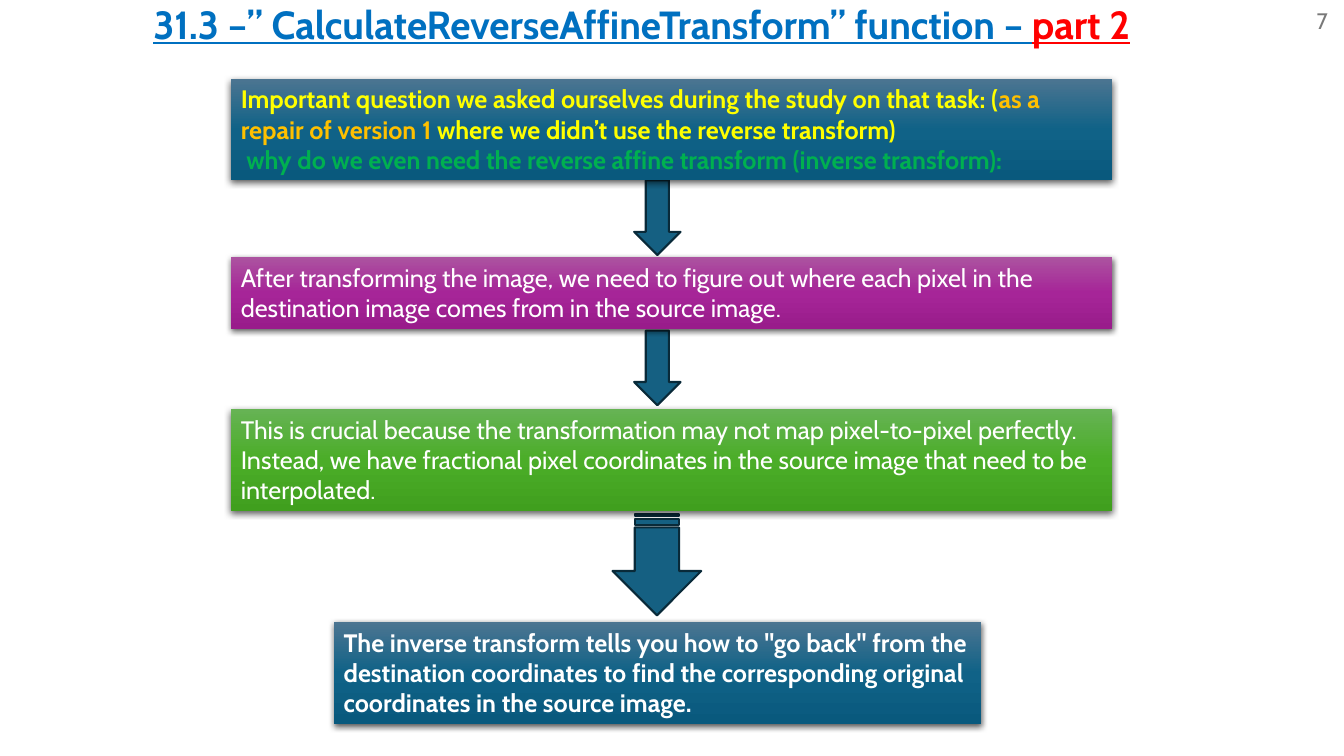
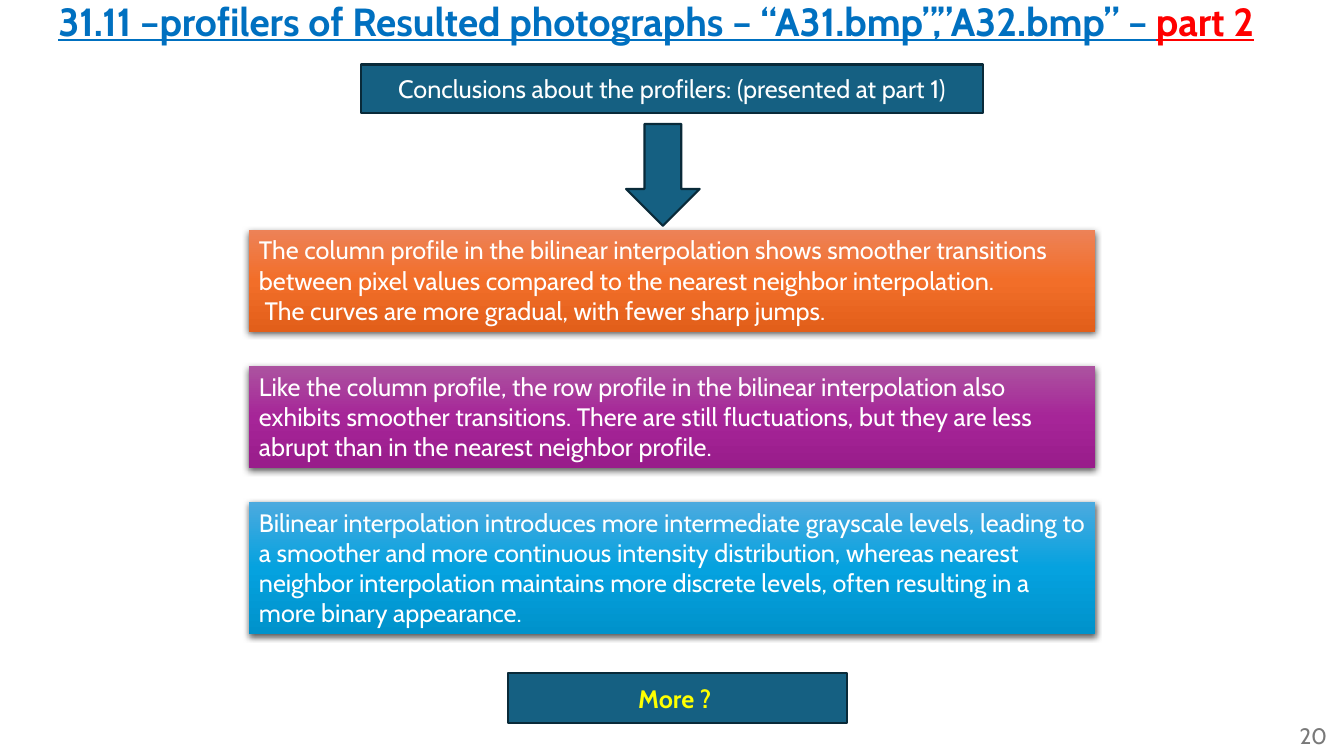
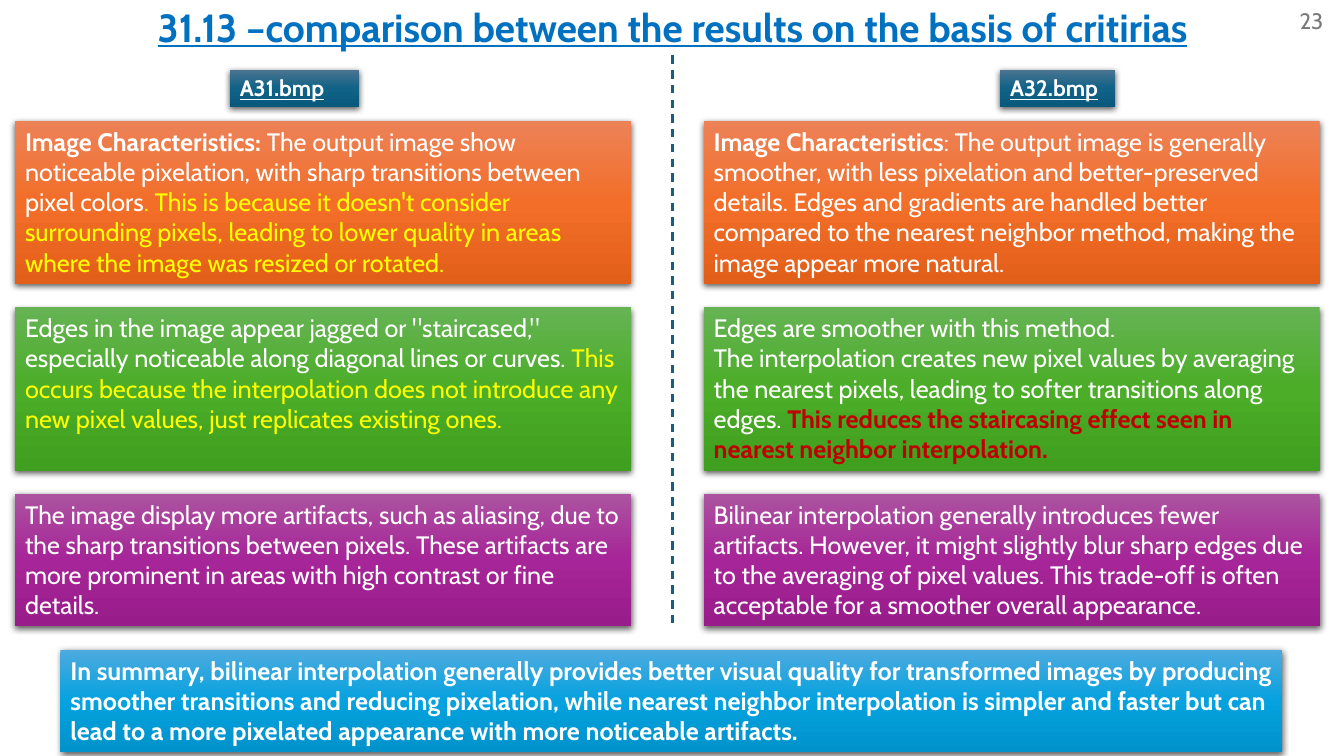
"""Build three slides on reverse affine transforms and interpolation results."""
from copy import deepcopy

from lxml.etree import SubElement
from pptx import Presentation
from pptx.dml.color import RGBColor
from pptx.enum.dml import MSO_LINE
from pptx.enum.shapes import MSO_CONNECTOR, MSO_SHAPE
from pptx.enum.text import MSO_ANCHOR as ANCHOR, PP_ALIGN as ALIGN
from pptx.oxml.ns import qn
from pptx.util import Inches, Pt

FONT = "Cabin"
WHITE = RGBColor(0xFF, 0xFF, 0xFF)
YELLOW = RGBColor(0xFF, 0xFF, 0x00)
AMBER = RGBColor(0xFF, 0xC0, 0x00)
LEAF = RGBColor(0x00, 0xB0, 0x50)
RED = RGBColor(0xFF, 0x00, 0x00)
DARK_RED = RGBColor(0xC0, 0x00, 0x00)
TITLE_BLUE = RGBColor(0x00, 0x70, 0xC0)
GRAY = RGBColor(0x79, 0x79, 0x79)
NAVY = RGBColor(0x15, 0x60, 0x82)
NAVY_EDGE = RGBColor(0x09, 0x2A, 0x39)

TEAL = [RGBColor(0x4C, 0x75, 0x91), RGBColor(0x10, 0x62, 0x87), RGBColor(0x09, 0x59, 0x7D)]
GREEN = [RGBColor(0x66, 0xB3, 0x54), RGBColor(0x4B, 0xAD, 0x28), RGBColor(0x40, 0x9F, 0x1E)]
PURPLE = [RGBColor(0xAC, 0x53, 0xA0), RGBColor(0xA6, 0x25, 0x98), RGBColor(0x99, 0x1C, 0x8B)]
ORANGE = [RGBColor(0xED, 0x82, 0x57), RGBColor(0xF2, 0x6E, 0x29), RGBColor(0xE2, 0x5F, 0x1A)]
SKY = [RGBColor(0x4C, 0xAA, 0xDF), RGBColor(0x05, 0xA2, 0xDF), RGBColor(0x00, 0x92, 0xCB)]


def write(shape, paragraphs, size=18, color=WHITE, bold=False, underline=False,
          align=ALIGN.LEFT, anchor=ANCHOR.TOP):
    """Fill a shape with paragraphs, each a list of plain texts or (text, color, bold)."""
    frame = shape.text_frame
    frame.word_wrap = True
    frame.vertical_anchor = anchor
    for index, parts in enumerate(paragraphs):
        paragraph = frame.add_paragraph() if index else frame.paragraphs[0]
        paragraph.alignment = align
        font = paragraph.font
        font.name, font.size, font.bold, font.underline = FONT, Pt(size), bold, underline
        font.color.rgb = color
        for part in parts:
            run = paragraph.add_run()
            if isinstance(part, str):
                run.text = part
            else:
                run.text, run.font.color.rgb, run.font.bold = part


def add_panel(slide, at, gradient, paragraphs, **style):
    """Add a shadowed rectangle with a three-stop vertical gradient and text."""
    panel = slide.shapes.add_shape(MSO_SHAPE.RECTANGLE, *map(Inches, at))
    panel.line.fill.background()
    panel.fill.gradient()
    panel.fill.gradient_angle = 270
    properties = panel._element.spPr
    stops = properties.find(".//" + qn("a:gsLst"))
    stops.append(deepcopy(stops[0]))
    for stop, position, color in zip(panel.fill.gradient_stops, (0, 0.5, 1), gradient):
        stop.position = position
        stop.color.rgb = color
    panel.shadow.inherit = False
    shadow = SubElement(properties.find(qn("a:effectLst")), qn("a:outerShdw"),
                        blurRad=str(Pt(4.5)), dist=str(Pt(1.5)), dir="5400000",
                        algn="ctr", rotWithShape="0")
    black = SubElement(shadow, qn("a:srgbClr"), val="000000")
    SubElement(black, qn("a:alpha"), val="63000")
    write(panel, paragraphs, **style)


presentation = Presentation()
presentation.slide_width = Inches(13.33)
presentation.slide_height = Inches(7.5)

headings = [
    ((0.23, -0.05, 12.27, 0.57),
     ["31.3 –” CalculateReverseAffineTransform” function – ", ("part 2", RED, True)],
     (12.96, 0, 0.34, 0.4), "7"),
    ((0.03, -0.08, 12.96, 0.57),
     ["31.11 –profilers of Resulted photographs – “A31.bmp”,”A32.bmp” – ", ("part 2", RED, True)],
     (12.79, 7.1, 0.55, 0.4), "20"),
    ((0.81, -0.02, 11.72, 0.57),
     ["31.13 –comparison between the results on the basis of critirias"],
     (12.79, 0, 0.55, 0.4), "23"),
]
slides = []
for title_at, title, number_at, number in headings:
    slide = presentation.slides.add_slide(presentation.slide_layouts[6])
    slides.append(slide)
    write(slide.shapes.add_textbox(*map(Inches, title_at)), [title], size=28,
          color=TITLE_BLUE, bold=True, underline=True, align=ALIGN.CENTER)
    write(slide.shapes.add_textbox(*map(Inches, number_at)), [[number]], size=16,
          color=GRAY, anchor=ANCHOR.MIDDLE)
reverse_slide, profile_slide, comparison_slide = slides

navy_shapes = [
    (reverse_slide, MSO_SHAPE.DOWN_ARROW, (6.29, 1.79, 0.46, 0.74), 0, "", WHITE, False),
    (reverse_slide, MSO_SHAPE.DOWN_ARROW, (6.29, 3.28, 0.46, 0.74), 0, "", WHITE, False),
    (reverse_slide, MSO_SHAPE.STRIPED_RIGHT_ARROW, (6.01, 5.16, 1.01, 0.88), 90, "", WHITE, False),
    (profile_slide, MSO_SHAPE.RECTANGLE, (3.58, 0.64, 6.17, 0.48), 0,
     "Conclusions about the profilers: (presented at part 1)", WHITE, False),
    (profile_slide, MSO_SHAPE.DOWN_ARROW, (6.21, 1.23, 0.73, 1.01), 0, "", WHITE, False),
    (profile_slide, MSO_SHAPE.RECTANGLE, (5.04, 6.68, 3.36, 0.49), 0, "More ? ", YELLOW, True),
]
for slide, kind, at, rotation, text, color, bold in navy_shapes:
    shape = slide.shapes.add_shape(kind, *map(Inches, at))
    shape.shadow.inherit = False
    shape.rotation = rotation
    shape.fill.solid()
    shape.fill.fore_color.rgb = NAVY
    shape.line.color.rgb = NAVY_EDGE
    shape.line.width = Pt(1.5)
    if text:
        write(shape, [[text]], color=color, bold=bold, align=ALIGN.CENTER, anchor=ANCHOR.MIDDLE)

add_panel(reverse_slide, (2.29, 0.78, 8.74, 1.01), TEAL, [
    ["Important question we asked ourselves during the study on that task: (",
     ("as a repair of version 1", AMBER, True),
     " where we didn’t use the reverse transform)"],
    [(" why do we even need the reverse affine transform (inverse transform):", LEAF, True)],
], color=YELLOW, bold=True)
add_panel(reverse_slide, (2.29, 2.55, 8.74, 0.71), PURPLE, [[
    "After transforming the image, we need to figure out where each pixel in the "
    "destination image comes from in the source image."]])
add_panel(reverse_slide, (2.29, 4.06, 8.74, 1.01), GREEN, [[
    "This is crucial because the transformation may not map pixel-to-pixel perfectly. "
    "Instead, we have fractional pixel coordinates in the source image that need to be "
    "interpolated."]])
add_panel(reverse_slide, (3.31, 6.17, 6.42, 1.01), TEAL, [[
    "The inverse transform tells you how to \"go back\" from the destination coordinates "
    "to find the corresponding original coordinates in the source image."]], bold=True)

conclusions = [
    (1.01, ORANGE, [
        ["The column profile in the bilinear interpolation shows smoother transitions "
         "between pixel values compared to the nearest neighbor interpolation."],
        [" The curves are more gradual, with fewer sharp jumps."]]),
    (1.01, PURPLE, [
        ["Like the column profile, the row profile in the bilinear interpolation also "
         "exhibits smoother transitions. There are still fluctuations, but they are less "
         "abrupt than in the nearest neighbor profile."]]),
    (1.31, SKY, [
        ["Bilinear interpolation introduces more intermediate grayscale levels, leading to "
         "a smoother and more continuous intensity distribution, whereas nearest neighbor "
         "interpolation maintains more discrete levels, often resulting in a more binary "
         "appearance."]]),
]
top = 2.28
for height, gradient, paragraphs in conclusions:
    add_panel(profile_slide, (2.47, top, 8.39, height), gradient, paragraphs)
    top += height + 0.34

columns = [
    (0.15, "A31.bmp", (2.28, 0.69, 1.28, 0.37), [
        [[("Image Characteristics: ", WHITE, True),
          "The output image show noticeable pixelation, with sharp transitions between "
          "pixel colors",
          (". This is because it doesn't consider surrounding pixels, leading to lower "
           "quality in areas where the image was resized or rotated.", YELLOW, False)]],
        [["Edges in the image appear jagged or \"staircased,\" especially noticeable along "
          "diagonal lines or curves. ",
          ("This occurs because the interpolation does not introduce any new pixel values, "
           "just replicates existing ones.", YELLOW, False)]],
        [["The image display more artifacts, such as aliasing, due to the sharp transitions "
          "between pixels. These artifacts are more prominent in areas with high contrast "
          "or fine details."]],
    ]),
    (6.98, "A32.bmp", (9.92, 0.69, 1.14, 0.37), [
        [[("Image Characteristics", WHITE, True),
          ": The output image is generally smoother, with less pixelation and "
          "better-preserved details. Edges and gradients are handled better compared to the "
          "nearest neighbor method, making the image appear more natural."]],
        [["Edges are smoother with this method."],
         ["The interpolation creates new pixel values by averaging the nearest pixels, "
          "leading to softer transitions along edges. ",
          ("This reduces the staircasing effect seen in nearest neighbor interpolation.",
           DARK_RED, True)]],
        [["Bilinear interpolation generally introduces fewer artifacts. However, it might "
          "slightly blur sharp edges due to the averaging of pixel values. This trade-off "
          "is often acceptable for a smoother overall appearance."]],
    ]),
]
for left, name, name_at, criteria in columns:
    add_panel(comparison_slide, name_at, TEAL, [[name]], size=16, bold=True, underline=True)
    top = 1.2
    for paragraphs, gradient, height in zip(criteria, (ORANGE, GREEN, PURPLE), (1.62, 1.62, 1.31)):
        add_panel(comparison_slide, (left, top, 6.11, height), gradient, paragraphs)
        top += height + 0.23

divider = comparison_slide.shapes.add_connector(
    MSO_CONNECTOR.STRAIGHT, Inches(6.67), Inches(0.55), Inches(6.67), Inches(6.21))
divider.line.color.rgb = NAVY
divider.line.width = Pt(1.5)
divider.line.dash_style = MSO_LINE.DASH
SubElement(divider._element.spPr, qn("a:effectLst"))

add_panel(comparison_slide, (0.6, 6.45, 12.12, 1.01), SKY, [[
    "In summary, bilinear interpolation generally provides better visual quality for "
    "transformed images by producing smoother transitions and reducing pixelation, while "
    "nearest neighbor interpolation is simpler and faster but can lead to a more pixelated "
    "appearance with more noticeable artifacts."]], bold=True)

presentation.save("out.pptx")
